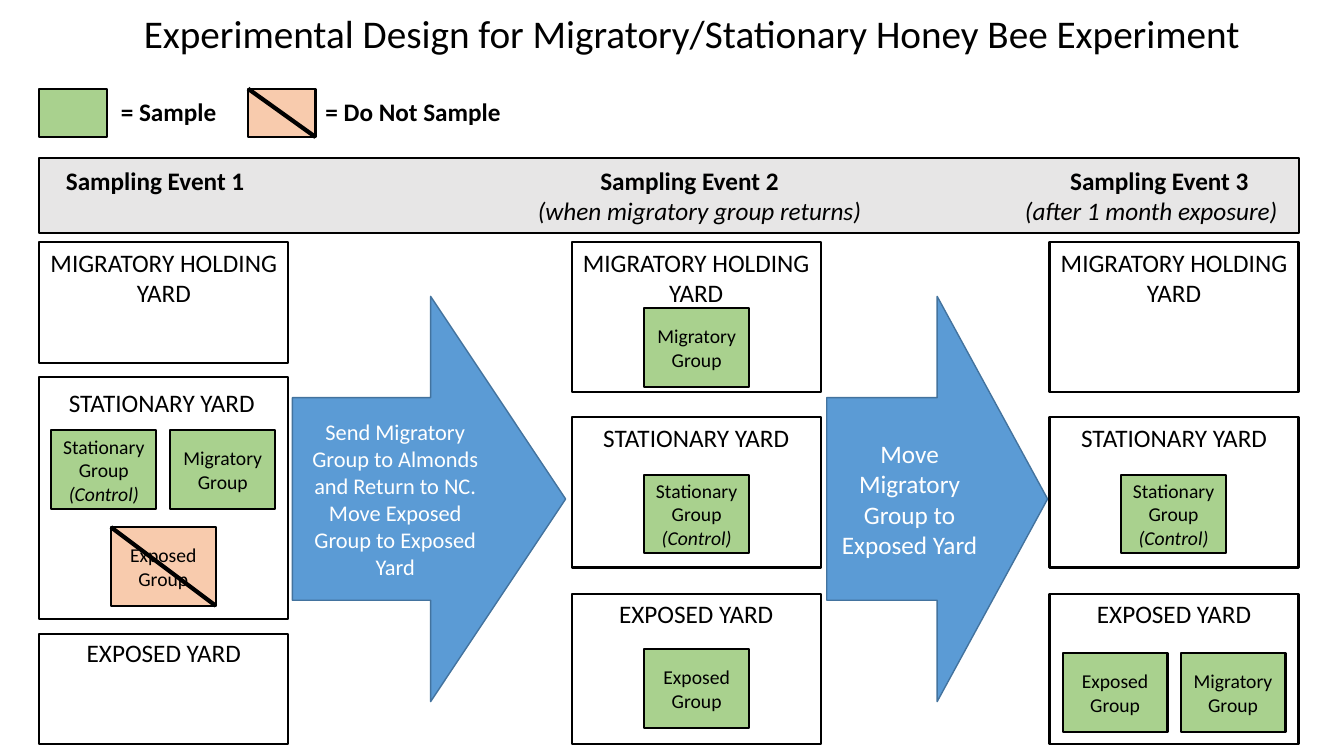
from dataclasses import dataclass

from lxml import etree
from pptx import Presentation
from pptx.dml.color import RGBColor
from pptx.enum import shapes, text
from pptx.oxml import ns
from pptx.util import Inches, Pt

BLACK, WHITE = "000000", "FFFFFF"
SAMPLE, NO_SAMPLE = "A9D18E", "F8CBAD"
BLUE, DARK_BLUE, GREY = "5B9BD5", "43739E", "E7E6E6"
COLUMNS = (0.39, 5.67, 10.41)
YARD_WIDTH = 2.47
GROUP_WIDTH, GROUP_HEIGHT = 1.04, 0.78
KEY_WIDTH, KEY_HEIGHT = 0.67, 0.48
HOLDING, STATIONARY, EXPOSED = "MIGRATORY HOLDING YARD", "STATIONARY YARD", "EXPOSED YARD"
CONTROL_GROUP = ("Stationary", "Group", "(Control)")
MIGRATORY_GROUP = ("Migratory Group",)
EXPOSED_GROUP = ("Exposed", "Group")


@dataclass
class Yard:
    name: str
    column: int
    top: float
    height: float = 1.49
    label_left_shift: float = 0
    label_top_shift: float = 0


@dataclass
class Group:
    lines: tuple[str, ...]
    left: float
    top: float
    sampled: bool = True


@dataclass
class Arrow:
    label: str
    left: float
    width: float
    head: float
    size: float


@dataclass
class Key:
    label: str
    left: float
    label_left: float
    label_width: float
    sampled: bool


@dataclass
class BannerRow:
    """Labels of one banner line, each centred on its tab stop."""
    labels: tuple[str, ...]
    stops: tuple[float, ...]
    bold: bool = False
    italic: bool = False


YARDS = [
    Yard(HOLDING, 0, 2.4, 1.2),
    Yard(STATIONARY, 0, 3.74, 2.4, -0.02, 0.05),
    Yard(EXPOSED, 0, 6.29, 1.09, 0, -0.02),
] + [
    Yard(name, column, top)
    for column in (1, 2)
    for name, top in ((HOLDING, 2.4), (STATIONARY, 4.14), (EXPOSED, 5.89))
]
GROUPS = [
    Group(CONTROL_GROUP, 0.51, 4.27),
    Group(MIGRATORY_GROUP, 1.69, 4.27),
    Group(EXPOSED_GROUP, 1.1, 5.23, sampled=False),
    Group(MIGRATORY_GROUP, 6.39, 3.06),
    Group(CONTROL_GROUP, 6.39, 4.71),
    Group(EXPOSED_GROUP, 6.39, 6.44),
    Group(CONTROL_GROUP, 11.12, 4.71),
    Group(EXPOSED_GROUP, 10.54, 6.48),
    Group(MIGRATORY_GROUP, 11.71, 6.48),
]
ARROWS = [
    Arrow("Send Migratory Group to Almonds and Return to NC. "
          "Move Exposed Group to Exposed Yard", 2.9, 2.71, 0.494, 16),
    Arrow("Move Migratory Group to Exposed Yard", 8.2, 2.19, 0.5, 18),
]
KEYS = [
    Key("= Sample", 0.39, 1.1, 1.66, True),
    Key("= Do Not Sample", 2.46, 3.13, 2.04, False),
]
BANNER_ROWS = [
    BannerRow(("Sampling Event 1", "Sampling Event 2", "Sampling Event 3"),
              (1.05, 6.35, 11.01), bold=True),
    BannerRow(("(when migratory group returns)", "(after 1 month exposure)"),
              (6.45, 10.93), italic=True),
]


def rgb(value: str) -> RGBColor:
    return RGBColor.from_string(value)


def write(shape, lines, size: float, color: str = BLACK, bold: bool = False,
          align=text.PP_ALIGN.CENTER) -> None:
    """Fill a shape with one paragraph per line; bracketed lines are italic."""
    frame = shape.text_frame
    frame.word_wrap = True
    frame.text = "\n".join(lines)
    for para in frame.paragraphs:
        para.alignment = align
        para.font.name = "Calibri"
        para.font.size = Pt(size)
        para.font.bold = bold
        para.font.italic = para.text.startswith("(")
        para.font.color.rgb = rgb(color)


def add_box(page, left: float, top: float, width: float, height: float, fill: str,
            kind=shapes.MSO_SHAPE.RECTANGLE, line: str = BLACK, weight: float = 1.5):
    box = page.shapes.add_shape(kind, Inches(left), Inches(top), Inches(width), Inches(height))
    box.shadow.inherit = False
    box.fill.solid()
    box.fill.fore_color.rgb = rgb(fill)
    box.line.color.rgb = rgb(line)
    box.line.width = Pt(weight)
    box.text_frame.vertical_anchor = text.MSO_ANCHOR.MIDDLE
    return box


def add_label(page, label: str, left: float, top: float, width: float, height: float = 0.4,
              size: float = 18, bold: bool = False, align=text.PP_ALIGN.CENTER) -> None:
    box = page.shapes.add_textbox(Inches(left), Inches(top), Inches(width), Inches(height))
    write(box, [label], size, bold=bold, align=align)
    box.text_frame.auto_size = text.MSO_AUTO_SIZE.SHAPE_TO_FIT_TEXT


def add_sample_box(page, left: float, top: float, width: float, height: float, sampled: bool):
    """Draw a green box, or a struck-through orange one when it is not sampled."""
    box = add_box(page, left, top, width, height, SAMPLE if sampled else NO_SAMPLE)
    if not sampled:
        strike = page.shapes.add_connector(
            shapes.MSO_CONNECTOR.STRAIGHT, Inches(left), Inches(top),
            Inches(left + width), Inches(top + height))
        strike.line.color.rgb = rgb(BLACK)
        strike.line.width = Pt(3)
        etree.SubElement(strike._element.spPr, ns.qn("a:effectLst"))
    return box


def add_banner(page) -> None:
    banner = add_box(page, COLUMNS[0], 1.57, 12.49, 0.74, GREY)
    write(banner, ["\t" + "\t".join(row.labels) for row in BANNER_ROWS], 18,
          align=text.PP_ALIGN.LEFT)
    for para, row in zip(banner.text_frame.paragraphs, BANNER_ROWS):
        para.font.bold = row.bold
        para.font.italic = row.italic
        tabs = etree.Element(ns.qn("a:tabLst"))
        for stop in row.stops:
            etree.SubElement(tabs, ns.qn("a:tab"), pos=str(Inches(stop)), algn="ctr")
        para._p.get_or_add_pPr().insert(0, tabs)


def add_yard(page, yard: Yard) -> None:
    left = COLUMNS[yard.column]
    add_box(page, left, yard.top, YARD_WIDTH, yard.height, WHITE)
    add_label(page, yard.name, left + yard.label_left_shift, yard.top + yard.label_top_shift,
              YARD_WIDTH, 0.71 if yard.name == HOLDING else 0.4)


def add_arrow(page, arrow: Arrow) -> None:
    shape = add_box(page, arrow.left, 2.94, arrow.width, 4.02, BLUE,
                    shapes.MSO_SHAPE.RIGHT_ARROW, DARK_BLUE, 1)
    shape.adjustments[1] = arrow.head
    write(shape, [arrow.label], arrow.size, WHITE)


def add_key(page, key: Key) -> None:
    add_sample_box(page, key.left, 0.88, KEY_WIDTH, KEY_HEIGHT, key.sampled)
    add_label(page, key.label, key.label_left, 0.91, key.label_width,
              bold=True, align=text.PP_ALIGN.LEFT)


def main() -> None:
    deck = Presentation()
    deck.slide_width, deck.slide_height = Inches(13.33), Inches(7.5)
    page = deck.slides.add_slide(deck.slide_layouts[6])
    add_label(page, "Experimental Design for Migratory/Stationary Honey Bee Experiment",
              1.17, 0.04, 11.38, 0.57, size=28)
    for key in KEYS:
        add_key(page, key)
    add_banner(page)
    for arrow in ARROWS:
        add_arrow(page, arrow)
    for yard in YARDS:
        add_yard(page, yard)
    for group in GROUPS:
        box = add_sample_box(page, group.left, group.top, GROUP_WIDTH, GROUP_HEIGHT,
                             group.sampled)
        write(box, group.lines, 14)
    deck.save("out.pptx")


if __name__ == "__main__":
    main()
